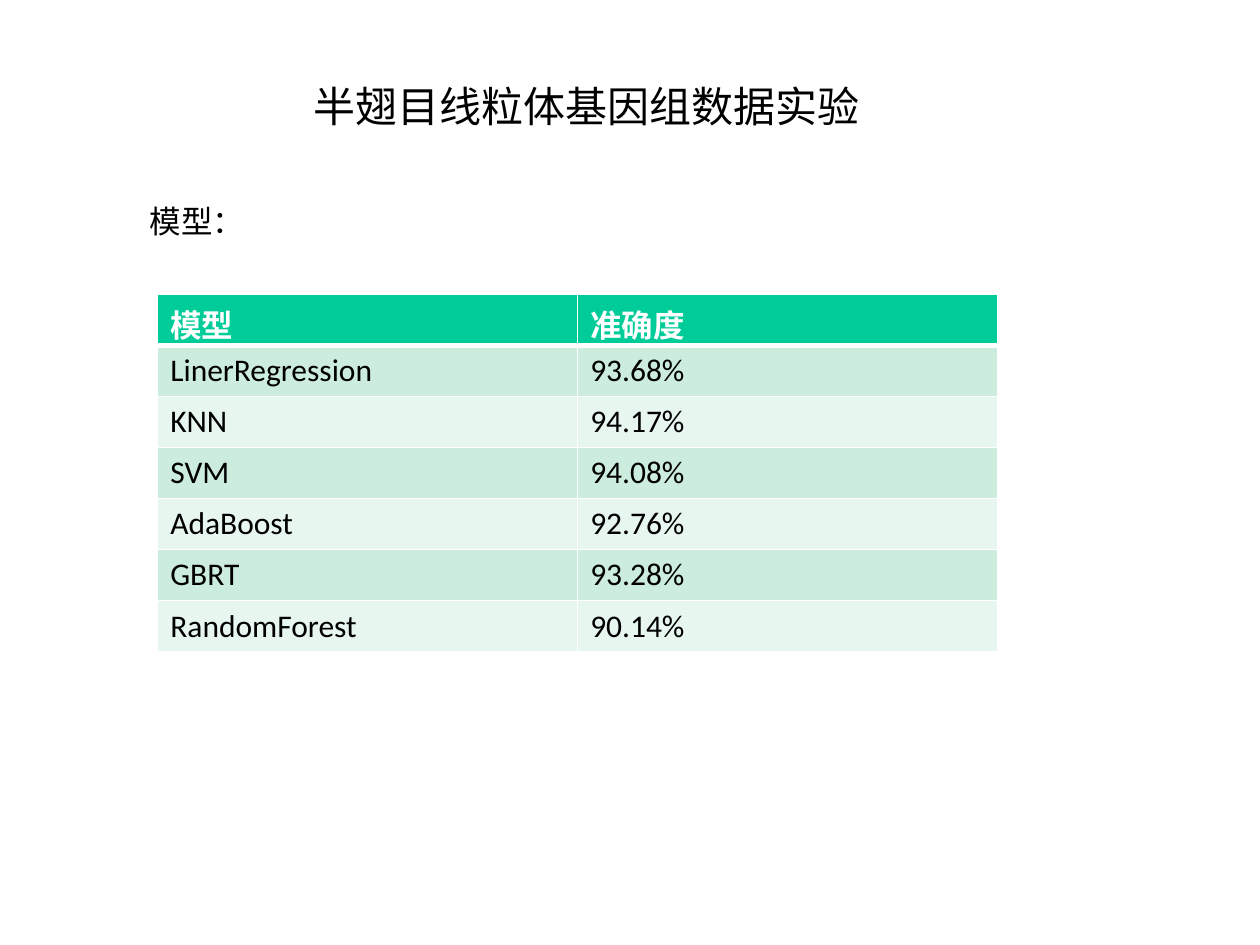
from dataclasses import dataclass

from lxml.etree import SubElement
from pptx import Presentation
from pptx.dml.color import RGBColor
from pptx.oxml.ns import qn
from pptx.util import Cm, Pt


@dataclass(frozen=True)
class Theme:
    font: str = "Calibri"
    text: str = "000000"
    light: str = "FFFFFF"
    header: str = "00CC99"
    bands: tuple = ("CCECDE", "E7F6EF")
    title_size: int = 24
    body_size: int = 18
    rule: int = 1
    header_rule: int = 3


THEME = Theme()
RESULTS = [
    ("模型", "准确度"),
    ("LinerRegression", "93.68%"),
    ("KNN", "94.17%"),
    ("SVM", "94.08%"),
    ("AdaBoost", "92.76%"),
    ("GBRT", "93.28%"),
    ("RandomForest", "90.14%"),
]


def write(tf, text, size, color=THEME.text, bold=False):
    r = tf.paragraphs[0].add_run()
    r.text = text
    for name, value in dict(name=THEME.font, size=Pt(size), bold=bold).items():
        setattr(r.font, name, value)
    r.font.color.rgb = RGBColor.from_string(color)


def add_text(s, box, text, size, wrap):
    tf = s.shapes.add_textbox(*map(Cm, box)).text_frame
    tf.word_wrap = wrap
    write(tf, text, size)


def set_borders(cell, widths):
    """Draw light borders; widths maps a side (L, R, T, B) to points."""
    tcPr = cell._tc.get_or_add_tcPr()
    for side, width in widths.items():
        ln = SubElement(tcPr, qn(f"a:ln{side}"), w=str(Pt(width)))
        fill = SubElement(ln, qn("a:solidFill"))
        SubElement(fill, qn("a:srgbClr"), val=THEME.light)


def add_results_table(s, box, rows):
    n_rows, n_cols = len(rows), len(rows[0])
    left, top, width, height = map(Cm, box)
    table = s.shapes.add_table(n_rows, n_cols, left, top, width, height).table
    for i, values in enumerate(rows):
        is_header = i == 0
        fill = THEME.header if is_header else THEME.bands[(i - 1) % 2]
        color = THEME.light if is_header else THEME.text
        borders = dict.fromkeys("LRTB", THEME.rule)
        if i < 2:
            borders["B" if is_header else "T"] = THEME.header_rule
        for j, value in enumerate(values):
            cell = table.cell(i, j)
            write(cell.text_frame, value, THEME.body_size, color, is_header)
            set_borders(cell, borders)
            cell.fill.solid()
            cell.fill.fore_color.rgb = RGBColor.from_string(fill)


def main():
    prs = Presentation()
    prs.slide_width, prs.slide_height = Cm(25.4), Cm(19.05)
    s = prs.slides.add_slide(prs.slide_layouts[6])
    add_text(s, (6.07, 1.5, 15.16, 1.27), "半翅目线粒体基因组数据实验",
             THEME.title_size, wrap=True)
    add_text(s, (2.77, 3.94, 2.44, 2.57), "模型：", THEME.body_size, wrap=False)
    add_results_table(s, (3.18, 5.93, 16.93, 7.21), RESULTS)
    prs.save("out.pptx")


if __name__ == "__main__":
    main()
